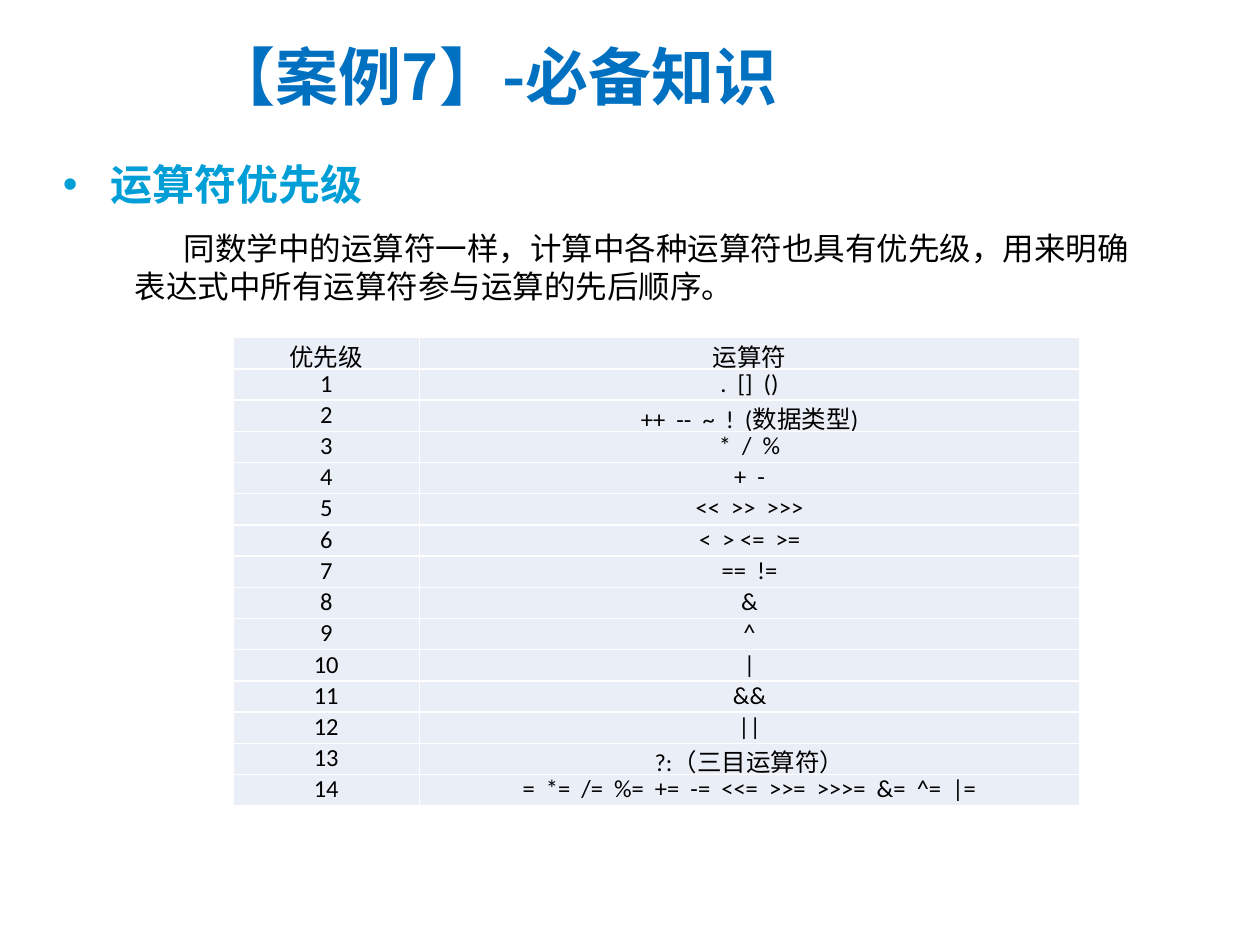
from lxml import etree
from pptx import Presentation
from pptx.dml.color import RGBColor
from pptx.enum.text import MSO_ANCHOR, MSO_AUTO_SIZE, PP_ALIGN
from pptx.oxml.ns import qn
from pptx.util import Inches, Pt

LEFT, CENTER = PP_ALIGN.LEFT, PP_ALIGN.CENTER
TOP, MIDDLE = MSO_ANCHOR.TOP, MSO_ANCHOR.MIDDLE
GROW, FIXED = MSO_AUTO_SIZE.SHAPE_TO_FIT_TEXT, MSO_AUTO_SIZE.NONE
TITLE_ONLY = 5

COLORS = {"title": "0070C0", "heading": "009ED6", "text": "000000",
          "cell": "EAEFF7", "border": "FFFFFF"}
FORMATS = {
    "title": {"name": "Noto Sans CJK SC", "size": Pt(36), "bold": True},
    "heading": {"name": "Calibri", "size": Pt(24), "bold": True},
    "text": {"name": "Calibri", "size": Pt(18), "bold": False},
    "cell": {"name": "Calibri", "size": Pt(14), "bold": False},
}
OPERATORS = [
    ".  []  ()",
    "++  --  ~  !  (数据类型)",
    "*  /  %",
    "+  -",
    "<<  >>  >>>",
    "<  > <=  >=",
    "==  !=",
    "&",
    "^",
    "|",
    "&&",
    "||",
    "?:（三目运算符）",
    "=  *=  /=  %=  +=  -=  <<=  >>=  >>>=  &=  ^=  |=",
]


class Deck:
    """Holds the style and the current slide; boxes are shares of the slide."""

    def __init__(self, width, height):
        self.prs = Presentation()
        self.prs.slide_width, self.prs.slide_height = Inches(width), Inches(height)
        self.s = self.prs.slides.add_slide(self.prs.slide_layouts[TITLE_ONLY])

    def box(self, x, y, w, h):
        width, height = self.prs.slide_width, self.prs.slide_height
        return [round(v) for v in (x * width, y * height, w * width, h * height)]

    def add_text(self, p, text, kind, color, align=LEFT):
        p.alignment = align
        r = p.add_run()
        r.text = text
        for key, value in FORMATS[kind].items():
            setattr(r.font, key, value)
        r.font.color.rgb = RGBColor.from_string(COLORS[color])
        if kind != "cell":
            ea = etree.SubElement(r._r.get_or_add_rPr(), qn("a:ea"))
            ea.set("typeface", FORMATS[kind]["name"])

    def indent(self, p, margin, first, bullet=None):
        pPr = p._p.get_or_add_pPr()
        pPr.set("marL", str(Inches(margin)))
        pPr.set("indent", str(Inches(first)))
        if bullet:
            etree.SubElement(pPr, qn("a:buFont")).set("typeface", "Arial")
            etree.SubElement(pPr, qn("a:buChar")).set("char", bullet)

    def title(self, text, box):
        sp = self.s.shapes.title
        sp.left, sp.top, sp.width, sp.height = self.box(*box)
        tf = sp.text_frame
        tf.auto_size, tf.vertical_anchor = FIXED, MIDDLE
        self.indent(tf.paragraphs[0], 0.62, -0.62)
        self.add_text(tf.paragraphs[0], text, "title", "title")

    def text(self, text, kind, box, indent, bullet=None, wrap=True, spacing=None):
        tf = self.s.shapes.add_textbox(*self.box(*box)).text_frame
        tf.word_wrap, tf.auto_size, tf.vertical_anchor = wrap, GROW, TOP
        p = tf.paragraphs[0]
        self.indent(p, *indent, bullet)
        p.line_spacing = spacing
        self.add_text(p, text, kind, kind)

    def borders(self, cell):
        tcPr = cell._tc.get_or_add_tcPr()
        for i, side in enumerate(("a:lnL", "a:lnR", "a:lnT", "a:lnB")):
            ln = etree.Element(qn(side), w=str(Pt(1)))
            fill = etree.SubElement(ln, qn("a:solidFill"))
            etree.SubElement(fill, qn("a:srgbClr"), val=COLORS["border"])
            tcPr.insert(i, ln)

    def table(self, rows, box, shares):
        x, y, w, h = self.box(*box)
        table = self.s.shapes.add_table(len(rows), len(shares), x, y, w, h).table
        table.first_row = table.horz_banding = False
        for column, share in zip(table.columns, shares):
            column.width = round(w * share)
        for i, row in enumerate(rows):
            table.rows[i].height = h // len(rows)
            for j, text in enumerate(row):
                cell = table.cell(i, j)
                cell.margin_left = cell.margin_right = Inches(0.07)
                cell.margin_top = cell.margin_bottom = 0
                cell.fill.solid()
                cell.fill.fore_color.rgb = RGBColor.from_string(COLORS["cell"])
                self.borders(cell)
                self.add_text(cell.text_frame.paragraphs[0], text, "cell", "text", CENTER)


def main():
    deck = Deck(10, 7.5)
    deck.title("【案例7】-必备知识", (0.159, 0.18 / 7.5, 0.563, 0.84 / 7.5))
    deck.text("运算符优先级", "heading", (0.04, 1.01 / 7.5, 0.261, 0.63 / 7.5),
              (0.38, -0.38), bullet="•", wrap=False, spacing=1.5)
    deck.text("同数学中的运算符一样，计算中各种运算符也具有优先级，"
              "用来明确表达式中所有运算符参与运算的先后顺序。",
              "text", (0.097, 1.77 / 7.5, 0.813, 0.71 / 7.5), (0, 0.39))
    rows = [("优先级", "运算符")]
    rows += [(str(level), text) for level, text in enumerate(OPERATORS, 1)]
    deck.table(rows, (0.185, 2.68 / 7.5, 0.672, 3.72 / 7.5), (0.22, 0.78))
    deck.prs.save("out.pptx")


if __name__ == "__main__":
    main()
